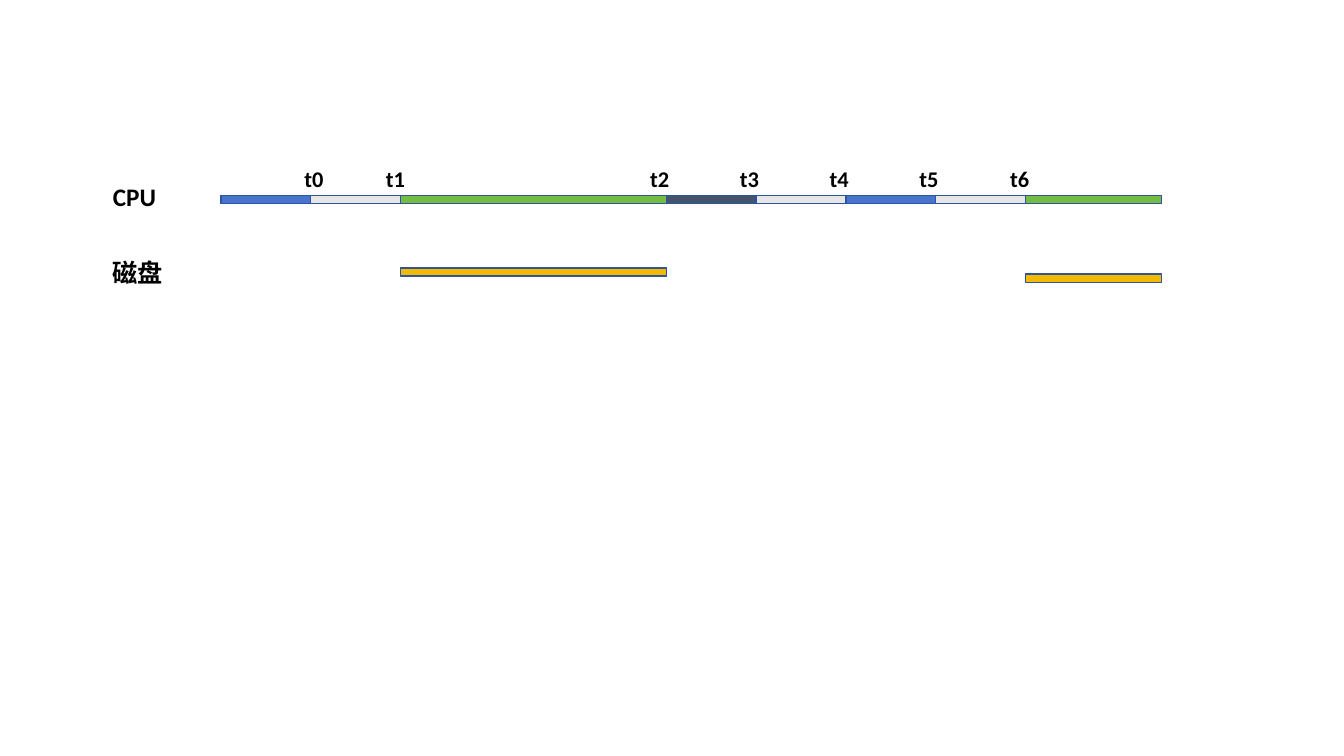
"""Build a slide with a timeline of CPU and disk activity."""
from pptx import Presentation
from pptx import util as u
from pptx.dml.color import RGBColor
from pptx.enum import shapes, text

PX = 9144
BLUE = RGBColor(0x48, 0x74, 0xCB)
GREY = RGBColor(0xE7, 0xE6, 0xE6)
GREEN = RGBColor(0x75, 0xBD, 0x42)
SLATE = RGBColor(0x44, 0x54, 0x6A)
GOLD = RGBColor(0xF2, 0xBA, 0x02)
OUTLINE = RGBColor(0x2E, 0x54, 0xA1)
BLACK = RGBColor(0, 0, 0)

STEP, WAIT, LAST = 89, 264, 135
CPU_TOP = 194
CPU_SEGMENTS = [
    (STEP, BLUE), (STEP, GREY), (WAIT, GREEN), (STEP, SLATE),
    (STEP, GREY), (STEP, BLUE), (STEP, GREY), (LAST, GREEN),
]
DISK_BARS = [(397, 266, WAIT), (1017, 272, LAST)]
ROW_LABELS = [("CPU", 175, 72), ("磁盘", 250, 81)]
TIME_LABEL_LEFTS = [292, 373, 635, 724, 813, 902, 992]


class Timeline:
    """Draws styled bars and labels on one slide."""

    font_name = "Calibri"
    bar_height = 8

    def __init__(self, slide):
        self.slide = slide

    def bar(self, left, top, width, color):
        """Draw one outlined activity bar."""
        shape = self.slide.shapes.add_shape(
            shapes.MSO_SHAPE.RECTANGLE,
            left * PX, top * PX, width * PX, self.bar_height * PX)
        shape.shadow.inherit = False
        shape.fill.solid()
        shape.fill.fore_color.rgb = color
        shape.line.color.rgb = OUTLINE
        shape.line.width = u.Pt(1)

    def label(self, words, left, top, width, height, size, auto_size):
        """Write one bold label."""
        box = self.slide.shapes.add_textbox(
            left * PX, top * PX, width * PX, height * PX)
        frame = box.text_frame
        frame.word_wrap = True
        frame.auto_size = auto_size
        paragraph = frame.paragraphs[0]
        paragraph.text = words
        font = paragraph.font
        font.name = self.font_name
        font.size = u.Pt(size)
        font.bold = True
        font.color.rgb = BLACK


def main():
    """Create and save the presentation."""
    presentation = Presentation()
    presentation.slide_width = 1333 * PX
    presentation.slide_height = 750 * PX
    slide = presentation.slides.add_slide(presentation.slide_layouts[6])
    timeline = Timeline(slide)

    for words, top, width in ROW_LABELS:
        timeline.label(words, 102, top, width, 40, 18,
                       text.MSO_AUTO_SIZE.SHAPE_TO_FIT_TEXT)

    left = 219
    for width, color in CPU_SEGMENTS:
        timeline.bar(left, CPU_TOP, width, color)
        left += width

    for left, top, width in DISK_BARS:
        timeline.bar(left, top, width, GOLD)

    for index, left in enumerate(TIME_LABEL_LEFTS):
        timeline.label(f"t{index}", left, 159, 46, 35, 16,
                       text.MSO_AUTO_SIZE.NONE)

    presentation.save("out.pptx")


if __name__ == "__main__":
    main()
